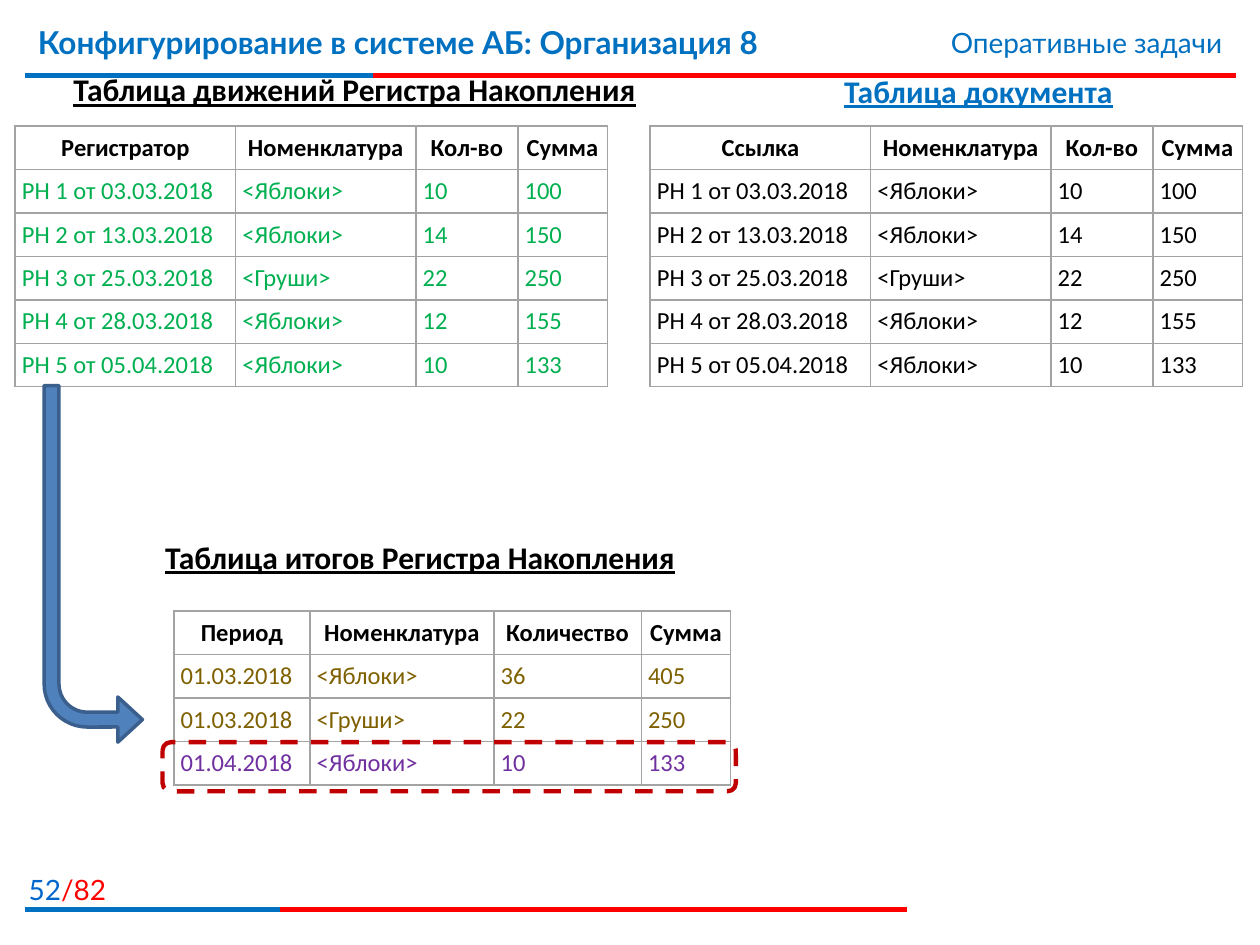
from lxml.etree import SubElement
from pptx import Presentation
from pptx.dml.color import RGBColor
from pptx.enum.dml import MSO_LINE
from pptx.enum.shapes import MSO_CONNECTOR, MSO_SHAPE
from pptx.enum.text import MSO_ANCHOR, PP_ALIGN
from pptx.oxml.ns import qn
from pptx.util import Inches, Pt

COLUMNS, ROWS = 100, 75
BLUE, RED, BLACK, GREEN = "0070C0", "FF0000", "000000", "00B050"
OLIVE, PURPLE, GRAY = "7F6000", "7030A0", "A3A3A3"
ROW_HEIGHT = 3.45
CELL_MARGIN = 0.54
MOVEMENT_COLUMNS = (17.5, 14.3, 8.1, 7.1)
TOTAL_COLUMNS = (10.8, 14.6, 11.7, 7.1)
SALES = [
    ("РН 1 от 03.03.2018", "<Яблоки>", "10", "100"),
    ("РН 2 от 13.03.2018", "<Яблоки>", "14", "150"),
    ("РН 3 от 25.03.2018", "<Груши>", "22", "250"),
    ("РН 4 от 28.03.2018", "<Яблоки>", "12", "155"),
    ("РН 5 от 05.04.2018", "<Яблоки>", "10", "133"),
]
TOTALS = [
    ("01.03.2018", "<Яблоки>", "36", "405"),
    ("01.03.2018", "<Груши>", "22", "250"),
    ("01.04.2018", "<Яблоки>", "10", "133"),
]


def grid(*cells):
    return [Inches(cell / 10) for cell in cells]


def color(value):
    return RGBColor.from_string(value)


def add_run(paragraph, text, size, fill, font="Calibri", bold=False, underline=False):
    run = paragraph.add_run()
    run.text = text
    run.font.name = font
    run.font.size = Pt(size)
    run.font.bold = bold
    run.font.underline = underline
    run.font.color.rgb = color(fill)


def add_text_box(slide, box, alignment, anchor=MSO_ANCHOR.TOP):
    shape = slide.shapes.add_textbox(*grid(*box))
    shape.text_frame.word_wrap = True
    shape.text_frame.vertical_anchor = anchor
    paragraph = shape.text_frame.paragraphs[0]
    paragraph.alignment = alignment
    return paragraph


def add_title(slide, text):
    title = slide.shapes.title
    title.left, title.top, title.width, title.height = grid(2, 1.3, 74, 6.2)
    title.text_frame.vertical_anchor = MSO_ANCHOR.TOP
    paragraph = title.text_frame.paragraphs[0]
    paragraph.alignment = PP_ALIGN.LEFT
    add_run(paragraph, text, 18, BLUE, "Lato", bold=True)


def add_heading(slide, text, box, fill=BLACK):
    paragraph = add_text_box(slide, box, PP_ALIGN.CENTER)
    add_run(paragraph, text, 18, fill, bold=True, underline=True)


def add_rule(slide, row, red_end, blue_end):
    for end, fill in ((red_end, RED), (blue_end, BLUE)):
        line = slide.shapes.add_connector(MSO_CONNECTOR.STRAIGHT, *grid(2, row, end, row))
        line.line.color.rgb = color(fill)
        line.line.width = Pt(3)
        SubElement(line._element.spPr, qn("a:effectLst"))


def add_borders(cell):
    properties = cell._tc.get_or_add_tcPr()
    for side in ("a:lnL", "a:lnR", "a:lnT", "a:lnB"):
        border = SubElement(properties, qn(side), w=str(Pt(1)))
        fill = SubElement(border, qn("a:solidFill"))
        SubElement(fill, qn("a:srgbClr"), val=GRAY)


def format_cell(cell, text, fill, is_header):
    margin, = grid(CELL_MARGIN)
    cell.margin_left = cell.margin_right = margin
    cell.margin_top = cell.margin_bottom = margin
    add_borders(cell)
    cell.fill.background()
    paragraph = cell.text_frame.paragraphs[0]
    paragraph.alignment = PP_ALIGN.CENTER if is_header else PP_ALIGN.LEFT
    add_run(paragraph, text, 14, fill, bold=is_header)


def add_data_table(slide, left, top, widths, header, records, fills):
    rows = [header, *records]
    box = grid(left, top, sum(widths), ROW_HEIGHT * len(rows))
    table = slide.shapes.add_table(len(rows), len(widths), *box).table
    table.first_row = table.horz_banding = False
    for column, width in zip(table.columns, grid(*widths)):
        column.width = width
    for row, (values, fill) in enumerate(zip(rows, [BLACK, *fills])):
        for column, value in enumerate(values):
            format_cell(table.cell(row, column), value, fill, row == 0)


def add_outlined_shape(slide, kind, box, line, width):
    shape = slide.shapes.add_shape(kind, *grid(*box))
    shape.shadow.inherit = False
    shape.fill.background()
    shape.line.color.rgb = color(line)
    shape.line.width = Pt(width)
    return shape


def add_flow_arrow(slide):
    arrow = add_outlined_shape(slide, MSO_SHAPE.BENT_ARROW, (3.5, 30.6, 7.8, 28.3), "3A5F8C", 2)
    arrow.fill.solid()
    arrow.fill.fore_color.rgb = color("4F81BD")
    for index, value in enumerate((0.151, 0.23, 0.25, 0.438)):
        arrow.adjustments[index] = value
    arrow.rotation = 180
    arrow._element.spPr.xfrm.set("flipH", "1")


def main():
    presentation = Presentation()
    presentation.slide_width, presentation.slide_height = grid(COLUMNS, ROWS)
    slide = presentation.slides.add_slide(presentation.slide_layouts[5])

    add_rule(slide, 6, 98.1, 29.6)
    page = add_text_box(slide, (-1, 69, 10.4, 3.2), PP_ALIGN.RIGHT, MSO_ANCHOR.MIDDLE)
    add_run(page, "52", 16, "0066CC", "Lato")
    add_run(page, "/82", 16, RED, "Lato")
    add_rule(slide, 72.2, 72, 22.2)
    add_title(slide, "Конфигурирование в системе АБ: Организация 8")
    topic = add_text_box(slide, (59.4, 1.5, 38.6, 3.7), PP_ALIGN.RIGHT)
    add_run(topic, "Оперативные задачи", 16, BLUE, "Lato")

    add_heading(slide, "Таблица документа", (55.6, 5.2, 44.1, 4), BLUE)
    add_heading(slide, "Таблица движений Регистра Накопления", (2.8, 5.1, 50.7, 4))
    add_heading(slide, "Таблица итогов Регистра Накопления", (11.3, 42.2, 44.1, 4))

    for left, key, fill in ((1.2, "Регистратор", GREEN), (51.6, "Ссылка", BLACK)):
        header = (key, "Номенклатура", "Кол-во", "Сумма")
        add_data_table(slide, left, 10, MOVEMENT_COLUMNS, header, SALES, [fill] * len(SALES))
    header = ("Период", "Номенклатура", "Количество", "Сумма")
    add_data_table(slide, 13.8, 48.5, TOTAL_COLUMNS, header, TOTALS, (OLIVE, OLIVE, PURPLE))

    add_flow_arrow(slide)
    highlight = add_outlined_shape(
        slide, MSO_SHAPE.ROUNDED_RECTANGLE, (12.9, 58.9, 45.5, 3.9), "C00000", 2.5
    )
    highlight.line.dash_style = MSO_LINE.DASH
    presentation.save("out.pptx")


if __name__ == "__main__":
    main()
